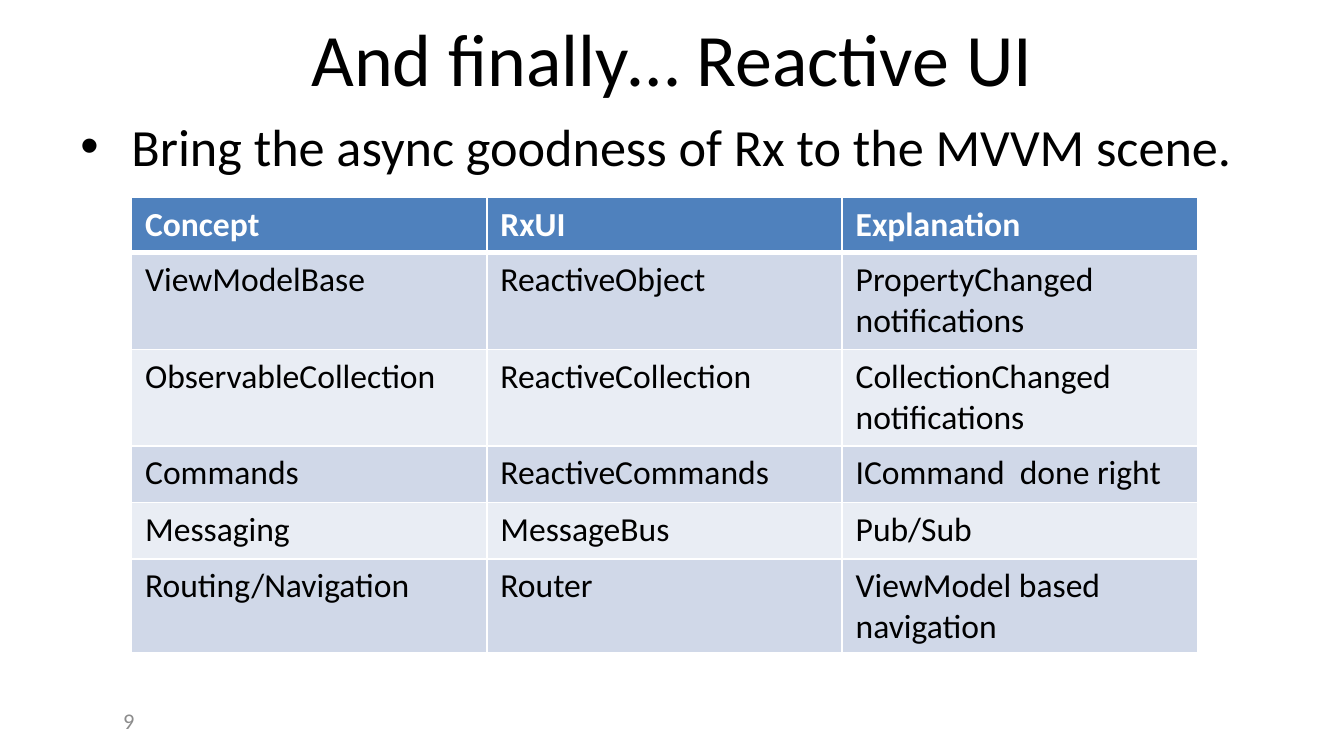
from lxml import etree
from pptx import Presentation
from pptx import util as u
from pptx.dml.color import RGBColor
from pptx.enum import text
from pptx.oxml import ns

BLACK = RGBColor(0x00, 0x00, 0x00)
WHITE = RGBColor(0xFF, 0xFF, 0xFF)
GRAY = RGBColor(0x8C, 0x8C, 0x8C)
BLUE = RGBColor(0x4F, 0x81, 0xBD)
BANDS = (RGBColor(0xD0, 0xD8, 0xE8), RGBColor(0xE9, 0xED, 0xF4))

CONCEPTS = [
    ("Concept", "RxUI", "Explanation"),
    ("ViewModelBase", "ReactiveObject", "PropertyChanged notifications"),
    ("ObservableCollection", "ReactiveCollection", "CollectionChanged\nnotifications"),
    ("Commands", "ReactiveCommands", "ICommand  done right"),
    ("Messaging", "MessageBus", "Pub/Sub"),
    ("Routing/Navigation", "Router", "ViewModel based navigation"),
]
ROW_HEIGHTS = (0.41, 0.72, 0.72, 0.42, 0.42, 0.42)


class SlideBuilder:
    """Holds the style and the current slide, and adds each kind of element."""

    font = "Calibri"

    def __init__(self, slide):
        self.slide = slide

    def add_run(self, paragraph, words, size, color, bold=False):
        run = paragraph.add_run()
        run.text = words
        run.font.name = self.font
        run.font.size = u.Pt(size)
        run.font.bold = bold
        run.font.color.rgb = color

    def add_text(self, box, words, size, color=BLACK, align=text.PP_ALIGN.LEFT,
                 anchor=text.MSO_ANCHOR.MIDDLE):
        shape = self.slide.shapes.add_textbox(*map(u.Inches, box))
        frame = shape.text_frame
        frame.word_wrap = True
        frame.vertical_anchor = anchor
        paragraph = frame.paragraphs[0]
        paragraph.alignment = align
        self.add_run(paragraph, words, size, color)
        return paragraph

    def add_bullet(self, box, words, size):
        paragraph = self.add_text(box, words, size, anchor=text.MSO_ANCHOR.TOP)
        paragraph.space_before = u.Pt(size * 0.2)
        properties = paragraph._p.get_or_add_pPr()
        properties.set("marL", str(u.Inches(0.38)))
        properties.set("indent", str(u.Inches(-0.38)))
        font = etree.SubElement(properties, ns.qn("a:buFont"))
        font.set("typeface", "Arial")
        etree.SubElement(properties, ns.qn("a:buChar")).set("char", "•")

    def set_borders(self, cell, color, bottom):
        properties = cell._tc.get_or_add_tcPr()
        widths = {"lnL": 1, "lnR": 1, "lnT": 1, "lnB": bottom}
        for index, (side, width) in enumerate(widths.items()):
            line = etree.Element(ns.qn(f"a:{side}"), w=str(u.Pt(width)))
            fill = etree.SubElement(line, ns.qn("a:solidFill"))
            etree.SubElement(fill, ns.qn("a:srgbClr")).set("val", str(color))
            properties.insert(index, line)

    def add_table(self, left, top, width, rows, heights):
        columns = len(rows[0])
        table = self.slide.shapes.add_table(
            len(rows), columns, u.Inches(left), u.Inches(top),
            u.Inches(width), u.Inches(sum(heights))).table
        for column in table.columns:
            column.width = u.Inches(width / columns)
        for row_index, (row, height) in enumerate(zip(rows, heights)):
            table.rows[row_index].height = u.Inches(height)
            header = row_index == 0
            for column_index, words in enumerate(row):
                cell = table.cell(row_index, column_index)
                cell.fill.solid()
                cell.fill.fore_color.rgb = BLUE if header else BANDS[(row_index - 1) % 2]
                bottom = 3 if header else 1
                self.set_borders(cell, WHITE, bottom)
                frame = cell.text_frame
                for line_index, line in enumerate(words.split("\n")):
                    paragraph = frame.add_paragraph() if line_index else frame.paragraphs[0]
                    self.add_run(paragraph, line, 18, WHITE if header else BLACK, header)


def main():
    presentation = Presentation()
    presentation.slide_width = u.Inches(10)
    presentation.slide_height = presentation.slide_width * 9 // 16
    slide = presentation.slides.add_slide(presentation.slide_layouts[6])
    builder = SlideBuilder(slide)
    builder.add_text((0.5, 0.1, 9, 0.65), "And finally… Reactive UI", 39.6,
                     align=text.PP_ALIGN.CENTER)
    builder.add_bullet((0.5, 0.8, 9, 4.22),
                       "Bring the async goodness of Rx to the MVVM scene.", 28)
    builder.add_text((0.67, 5.21, 0.43, 0.3), "9", 12, GRAY, text.PP_ALIGN.RIGHT)
    builder.add_table(0.98, 1.47, 7.93, CONCEPTS, ROW_HEIGHTS)
    presentation.save("out.pptx")


if __name__ == "__main__":
    main()
